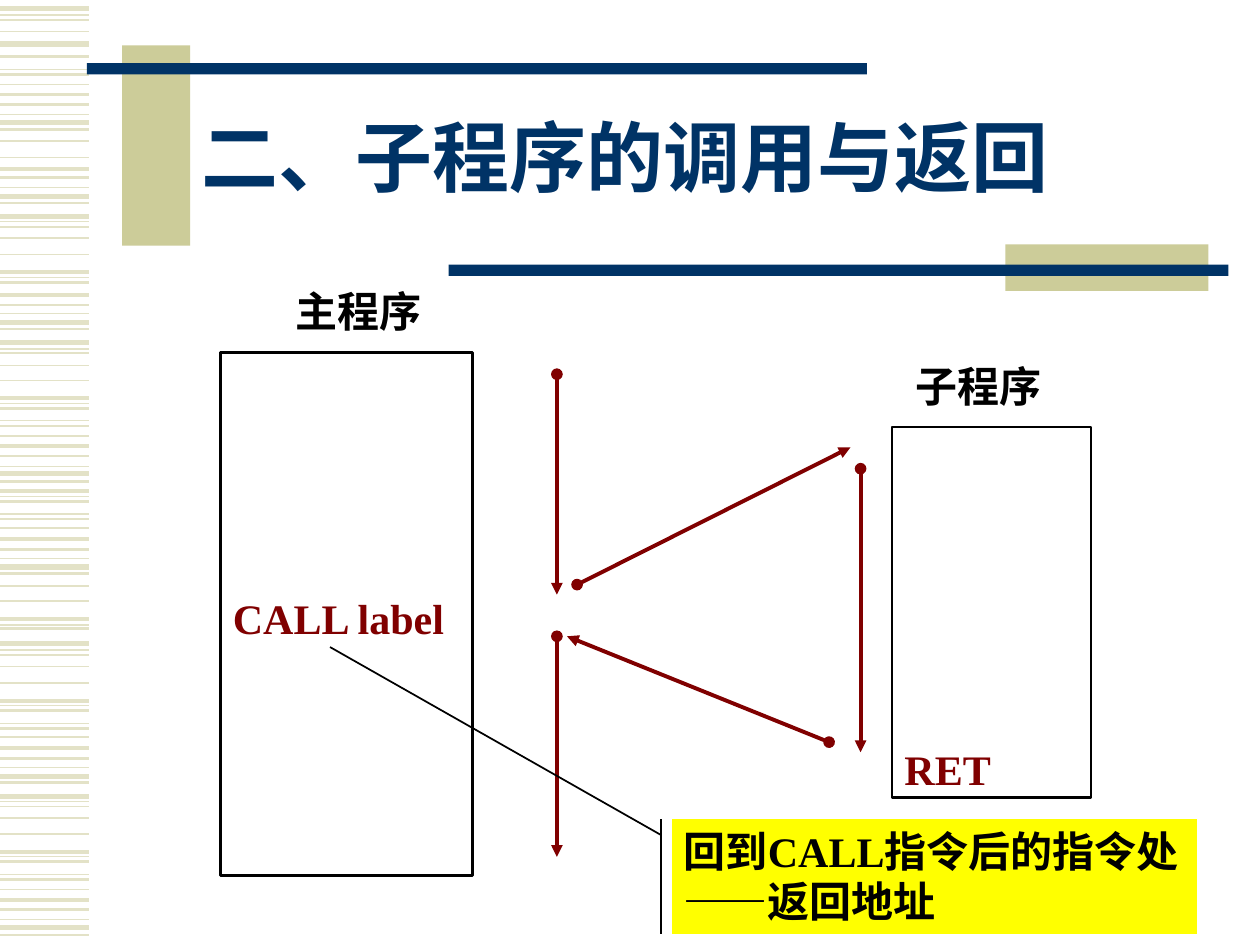
from lxml.etree import SubElement
from pptx import Presentation
from pptx.dml.color import RGBColor
from pptx.enum.shapes import MSO_CONNECTOR, MSO_SHAPE
from pptx.enum.text import MSO_ANCHOR, PP_ALIGN
from pptx.oxml.ns import qn
from pptx.util import Pt

PX = 9144  # 100 px to the inch
NAVY, KHAKI, STRIPE = "003366", "CCCC99", "E3E2C7"
MAROON, BLACK, YELLOW = "800000", "000000", "FFFF00"
rgb = RGBColor.from_string


def add_line(x1, y1, x2, y2, color, weight):
    line = slide.shapes.add_connector(
        MSO_CONNECTOR.STRAIGHT, x1 * PX, y1 * PX, x2 * PX, y2 * PX)
    line.line.color.rgb = rgb(color)
    line.line.width = Pt(weight)
    SubElement(line._element.spPr, qn("a:effectLst"))
    return line


def write(shape, text, size, color, anchor=MSO_ANCHOR.TOP, bottom=5):
    frame = shape.text_frame
    frame.word_wrap = True
    frame.vertical_anchor = anchor
    frame.margin_left = frame.margin_right = 10 * PX
    frame.margin_top, frame.margin_bottom = 5 * PX, bottom * PX
    paragraph = frame.paragraphs[0]
    paragraph.alignment = PP_ALIGN.LEFT
    run = paragraph.add_run()
    run.text = text
    run.font.name = "Times New Roman"
    run.font.size = Pt(size)
    run.font.bold = True
    run.font.color.rgb = rgb(color)
    return paragraph


presentation = Presentation()
presentation.slide_width, presentation.slide_height = 1000 * PX, 750 * PX
slide = presentation.slides.add_slide(presentation.slide_layouts[5])

# Striped left margin: line weight -> heights of its stripes
stripes = {
    0.75: [12, 55, 91, 149, 176, 220, 249, 277, 320, 334, 370, 394, 408, 443,
           496, 516, 560, 574, 609, 636, 680, 694, 730],
    1: [16, 25, 67, 112, 125, 180, 189, 202, 280, 290, 302, 346, 419, 465,
        477, 520, 529, 542, 585, 640, 649, 662, 706],
    1.5: [45, 59, 83, 103, 141, 161, 224, 242, 261, 324, 338, 362, 382, 398,
          412, 436, 455, 499, 564, 578, 602, 621, 684, 698, 722, 742],
    2.25: [75, 134, 216, 234, 316, 354, 390, 428, 491, 556, 594, 676, 714],
    3: [7, 35, 97, 156, 172, 256, 272, 376, 450, 511, 616, 632, 736],
}
for weight, heights in stripes.items():
    for y in heights:
        add_line(0, y, 71, y, STRIPE, weight)

# Bars around the title
for x, y, width, height, color in [
    (97, 36, 54, 159, KHAKI),
    (69, 50, 619, 9, NAVY),
    (798, 194, 161, 37, KHAKI),
    (356, 210, 619, 9, NAVY),
]:
    bar = slide.shapes.add_shape(
        MSO_SHAPE.RECTANGLE, x * PX, y * PX, width * PX, height * PX)
    bar.shadow.inherit = False
    bar.fill.solid()
    bar.fill.fore_color.rgb = rgb(color)
    bar.line.fill.background()

# Title
title = slide.shapes.title
title.left, title.top, title.width, title.height = (
    150 * PX, 67 * PX, 807 * PX, 125 * PX)
heading = write(title, "二、子程序的调用与返回", 44, NAVY, MSO_ANCHOR.MIDDLE)
heading.line_spacing = 0.85

# Program boxes, each with its instruction
for x, y, width, height, text, bottom in [
    (175, 280, 200, 415, "CALL label", 185),
    (708, 339, 158, 294, "RET", 3),
]:
    program = slide.shapes.add_shape(
        MSO_SHAPE.RECTANGLE, x * PX, y * PX, width * PX, height * PX)
    program.shadow.inherit = False
    program.fill.background()
    program.line.color.rgb = rgb(BLACK)
    program.line.width = Pt(1.5)
    write(program, text, 24, MAROON, MSO_ANCHOR.BOTTOM, bottom)

# Program names
for x, y, text in [(225, 222, "主程序"), (717, 281, "子程序")]:
    label = slide.shapes.add_textbox(x * PX, y * PX, 142 * PX, 50 * PX)
    write(label, text, 24, BLACK)

# Flow of control
for ends in [
    (442, 297, 442, 472),
    (458, 464, 675, 355),
    (683, 372, 683, 597),
    (658, 589, 450, 505),
    (442, 505, 442, 680),
]:
    arrow = add_line(*ends, MAROON, 2.25)
    outline = arrow.line._get_or_add_ln()
    SubElement(outline, qn("a:headEnd"), type="oval")
    SubElement(outline, qn("a:tailEnd"), type="triangle")

# Callout for the return address
callout = slide.shapes.add_shape(
    MSO_SHAPE.LINE_CALLOUT_1_ACCENT_BAR, 533 * PX, 650 * PX, 417 * PX, 91 * PX)
for index, value in enumerate([0.14, -0.02, -1.5, -0.65]):
    callout.adjustments[index] = value
callout.shadow.inherit = False
callout.fill.solid()
callout.fill.fore_color.rgb = rgb(YELLOW)
callout.line.color.rgb = rgb(BLACK)
callout.line.width = Pt(1)
write(callout, "回到CALL指令后的指令处——返回地址", 24, BLACK)

presentation.save("out.pptx")
